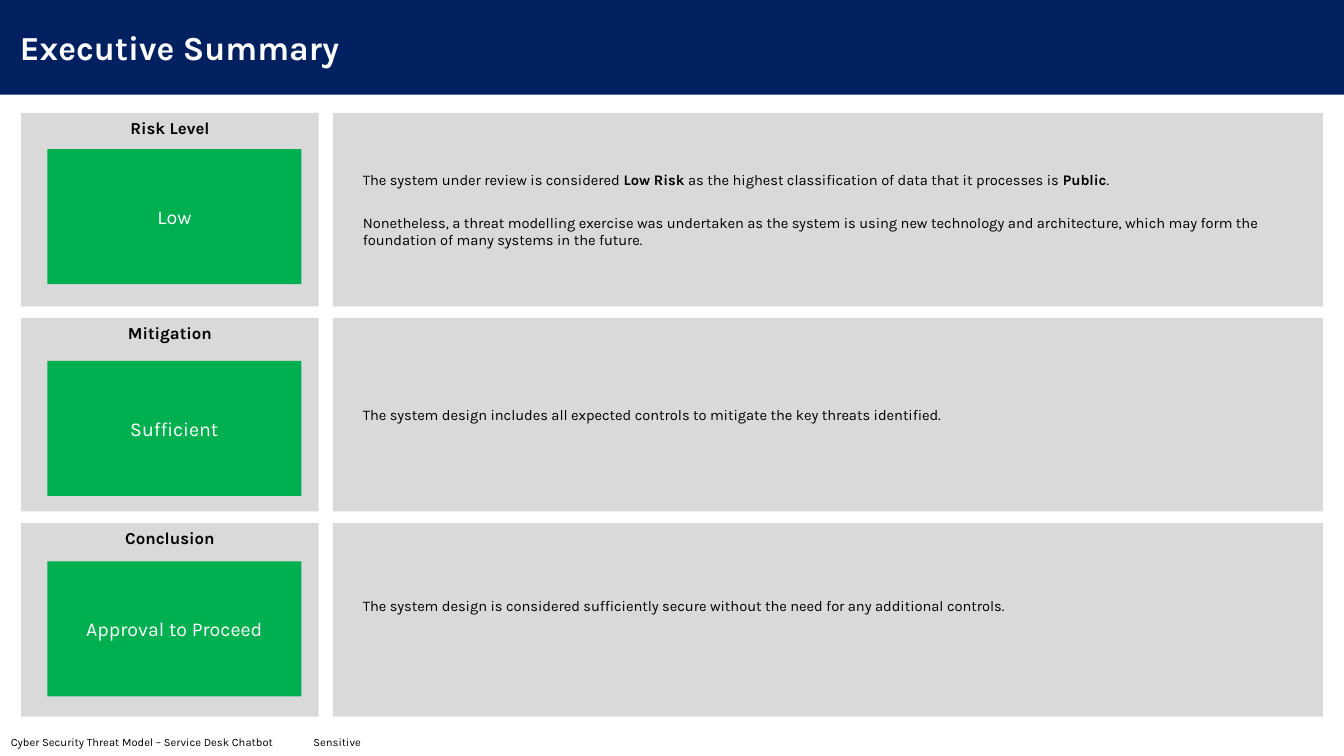
from pptx import Presentation
from pptx import util as u
from pptx.dml.color import RGBColor
from pptx.enum import shapes, text
from pptx.oxml.ns import qn
from lxml import etree

HUES = {"navy": "002060", "grey": "D9D9D9", "green": "00B050",
        "white": "FFFFFF", "black": "000000"}
MID, TOP = text.MSO_ANCHOR.MIDDLE, text.MSO_ANCHOR.TOP
LEFT, MIDST = text.PP_ALIGN.LEFT, text.PP_ALIGN.CENTER

FORMS = {
    "title": {"size": 24, "hue": "white", "bold": True, "indent": 0.1},
    "foot": {"size": 8, "indent": 0.01, "tab": 13.07},
    "body": {"size": 10.5, "indent": 0.2,
             "para": {"space_before": u.Pt(9), "space_after": u.Pt(9)}},
    "label": {"size": 12, "bold": True, "align": MIDST, "anchor": TOP},
    "badge": {"size": 14, "hue": "white", "align": MIDST},
}

ROWS = [
    ("Risk Level", "Low", 4.8, 0.05, [
        "The system under review is considered *Low Risk *as the highest "
        "classification of data that it processes is *Public*.",
        "Nonetheless, a threat modelling exercise was undertaken as the system is "
        "using new technology and architecture, which may form the foundation of "
        "many systems in the future."]),
    ("Mitigation", "Sufficient", 5.67, 0.05, [
        "The system design includes all expected controls to mitigate the key "
        "threats identified."]),
    ("Conclusion", "Approval to Proceed", 5.08, 0.34, [
        "The system design is considered sufficiently secure without the need for "
        "any additional controls."]),
]


class Page:
    def __init__(self, deck):
        self.wide, self.high = deck.slide_width, deck.slide_height
        self.slide = deck.slides.add_slide(deck.slide_layouts[6])
        self.font = "Karla"

    def place(self, left, top, width, height):
        return [int(size * part / 100) for size, part in zip(
            (self.wide, self.high) * 2, (left, top, width, height))]

    def box(self, spot, fill, lines, form, base=0.05):
        shape = self.slide.shapes.add_shape(
            shapes.MSO_SHAPE.RECTANGLE, *self.place(*spot))
        shape.shadow.inherit = False
        shape.fill.solid()
        shape.fill.fore_color.rgb = RGBColor.from_string(HUES[fill])
        shape.line.fill.background()
        self.letter(shape, lines, FORMS[form], base)

    def note(self, spot, lines, form):
        shape = self.slide.shapes.add_textbox(*self.place(*spot))
        self.letter(shape, lines, FORMS[form])

    def letter(self, shape, lines, form, base=0.05):
        frame = shape.text_frame
        style = {"word_wrap": True, "vertical_anchor": form.get("anchor", MID),
                 "margin_bottom": u.Inches(base)}
        for name, value in style.items():
            setattr(frame, name, value)
        for spot, line in enumerate(lines):
            para = frame.add_paragraph() if spot else frame.paragraphs[0]
            self.align(para, form)
            for turn, words in enumerate(line.split("*")):
                self.phrase(para, words, form, bool(turn % 2))

    def align(self, para, form):
        looks = {"alignment": form.get("align", LEFT), **form.get("para", {})}
        for name, value in looks.items():
            setattr(para, name, value)
        props = para._p.get_or_add_pPr()
        props.set("marL", str(u.Inches(form.get("indent", 0))))
        props.set("indent", "0")
        if "tab" in form:
            tabs = etree.SubElement(props, qn("a:tabLst"))
            etree.SubElement(tabs, qn("a:tab"),
                             pos=str(u.Inches(form["tab"])), algn="r")

    def phrase(self, para, words, form, strong):
        run = para.add_run()
        run.text = words
        looks = {"name": self.font, "size": u.Pt(form["size"]),
                 "bold": strong or form.get("bold", False)}
        for name, value in looks.items():
            setattr(run.font, name, value)
        run.font.color.rgb = RGBColor.from_string(HUES[form.get("hue", "black")])


def main():
    deck = Presentation()
    deck.slide_width, deck.slide_height = u.Inches(13.33), u.Inches(7.5)
    page = Page(deck)
    page.box((0, 0, 100, 12.53), "navy", ["Executive Summary"], "title")
    page.note((0, 96.4, 100, 3.6),
              ["Cyber Security Threat Model – Service Desk Chatbot\tSensitive"], "foot")
    for row, (label, badge, drop, base, lines) in enumerate(ROWS):
        top = 14.93 + 27.13 * row
        page.box((24.76, top, 73.67, 25.6), "grey", lines, "body", base)
        page.box((1.58, top, 22.13, 25.6), "grey", [label], "label")
        page.box((3.53, top + drop, 18.9, 17.87), "green", [badge], "badge")
    deck.save("out.pptx")


if __name__ == "__main__":
    main()
